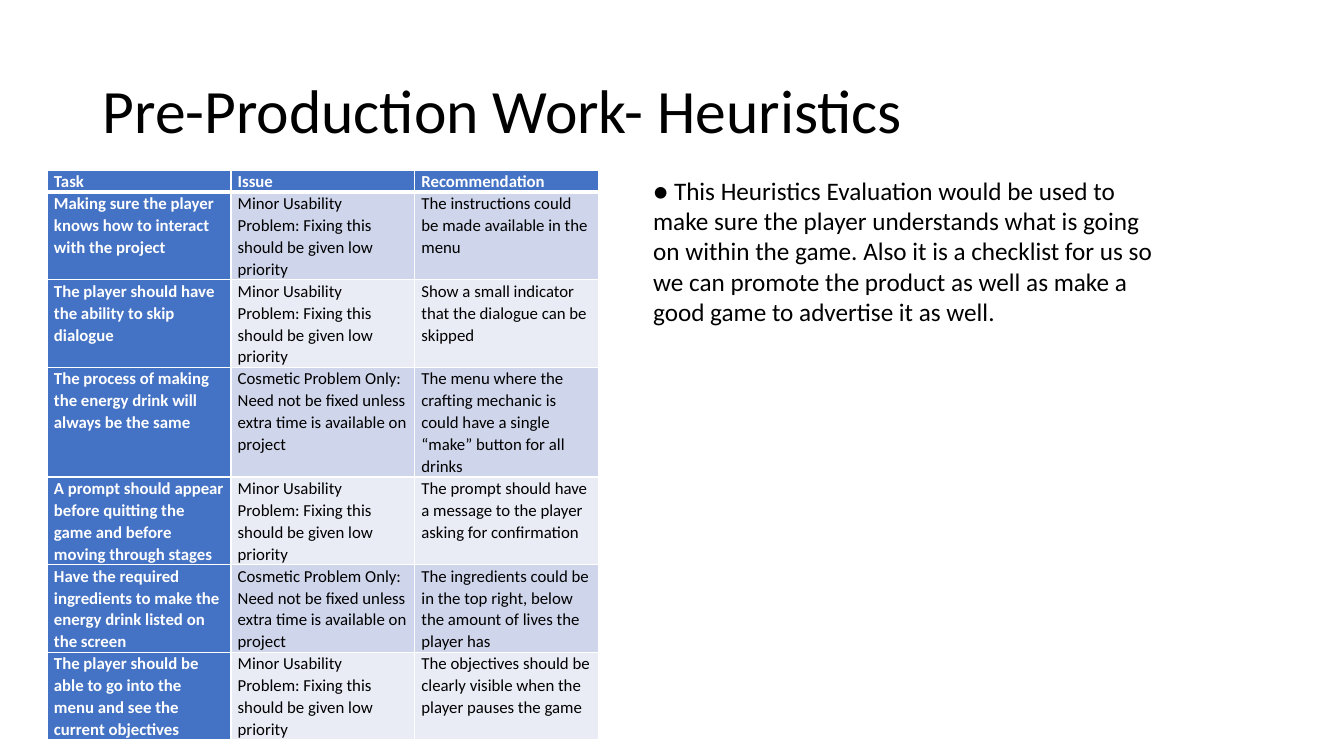
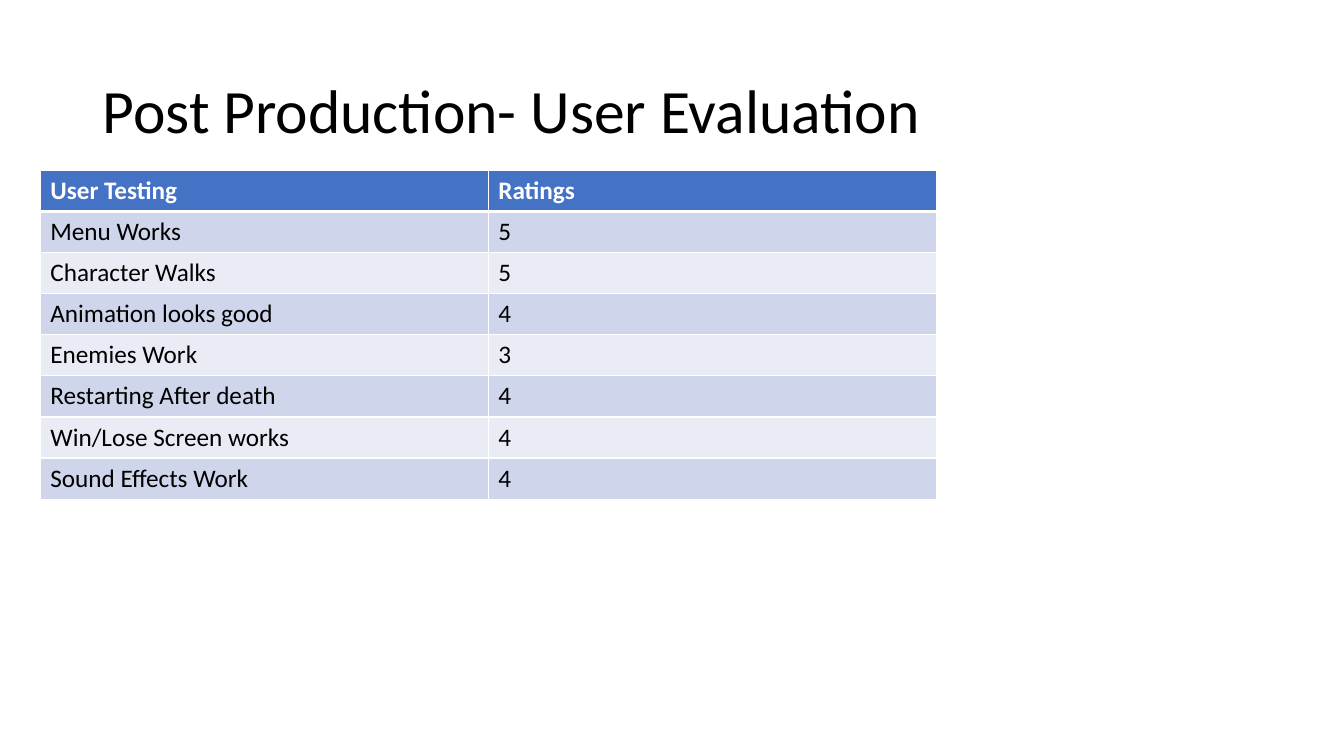
from dataclasses import dataclass

from lxml.etree import SubElement
from pptx import Presentation
from pptx.dml.color import RGBColor
from pptx.enum.text import MSO_ANCHOR, MSO_AUTO_SIZE, PP_ALIGN
from pptx.oxml.ns import qn
from pptx.presentation import Presentation as Deck
from pptx.slide import Slide
from pptx.table import _Cell as Cell
from pptx.text.text import _Paragraph as Para
from pptx.util import Cm, Pt

FONT = "Calibri"
BLACK, WHITE, BLUE = "000000", "FFFFFF", "4472C4"
BANDS = ("CFD5EA", "E9EBF5")
TOP = 4.29
THIN, THICK = 1, 3

MINOR = "Minor Usability Problem: Fixing this should be given low priority"
COSMETIC = ("Cosmetic Problem Only: Need not be fixed unless extra time "
            "is available on project")


@dataclass
class Grid:
    """A banded table; lengths are in centimetres."""
    left: float
    width: float
    heights: list[float]
    rows: list[tuple[str, ...]]
    size: int
    pad_x: float = 0.25
    pad_y: float = 0.13
    spacing: float = 1.0
    side_head: bool = False


ISSUES = Grid(
    left=1.19, width=13.89,
    heights=[0.44, 1.3, 1.3, 1.75, 1.75, 1.75, 1.3],
    size=12, pad_x=0.17, pad_y=0, spacing=1.07, side_head=True,
    rows=[
        ("Task", "Issue", "Recommendation"),
        ("Making sure the player knows how to interact with the project",
         MINOR,
         "The instructions could be made available in the menu"),
        ("The player should have the ability to skip dialogue",
         MINOR,
         "Show a small indicator that the dialogue can be skipped"),
        ("The process of making the energy drink will always be the same",
         COSMETIC,
         "The menu where the crafting mechanic is could have a single "
         "“make” button for all drinks"),
        ("A prompt should appear before quitting the game and before "
         "moving through stages",
         MINOR,
         "The prompt should have a message to the player asking for "
         "confirmation"),
        ("Have the required ingredients to make the energy drink listed "
         "on the screen",
         COSMETIC,
         "The ingredients could be in the top right, below the amount of "
         "lives the player has"),
        ("The player should be able to go into the menu and see the "
         "current objectives",
         MINOR,
         "The objectives should be clearly visible when the player pauses "
         "the game"),
    ],
)

SCORES = [
    ("User Testing", "Ratings"),
    ("Menu Works", "5"),
    ("Character Walks", "5"),
    ("Animation looks good", "4"),
    ("Enemies Work", "3"),
    ("Restarting After death", "4"),
    ("Win/Lose Screen works", "4"),
    ("Sound Effects Work", "4"),
]
RATINGS = Grid(left=1.02, width=22.58, heights=[1.03] * len(SCORES),
               size=18, rows=SCORES)

REMARK = ("● This Heuristics Evaluation would be used to make sure the player "
          "understands what is going on within the game. Also it is a "
          "checklist for us so we can promote the product as well as make a "
          "good game to advertise it as well.")


def color(code: str) -> RGBColor:
    """Turn a hex string into a colour."""
    return RGBColor.from_string(code)


def style(para: Para, size: int, code: str = BLACK, bold: bool = False,
          spacing: float = 1.0) -> None:
    """Format a whole paragraph."""
    font = para.font
    font.name, font.size, font.bold = FONT, Pt(size), bold
    font.color.rgb = color(code)
    para.alignment = PP_ALIGN.LEFT
    para.line_spacing = spacing


def add_slide(deck: Deck, title: str) -> Slide:
    """Add a title-only slide with the shared title style."""
    slide = deck.slides.add_slide(deck.slide_layouts[5])
    head = slide.shapes.title
    head.left, head.top = Cm(2.33), Cm(1.01)
    head.width, head.height = Cm(29.21), Cm(3.68)
    frame = head.text_frame
    frame.text = title
    frame.word_wrap = True
    frame.auto_size = MSO_AUTO_SIZE.NONE
    frame.vertical_anchor = MSO_ANCHOR.MIDDLE
    style(frame.paragraphs[0], 44, spacing=0.9)
    return slide


def add_edges(cell: Cell, top: int, bottom: int) -> None:
    """Give a cell white borders; widths are in points."""
    props = cell._tc.get_or_add_tcPr()
    edges = {"a:lnL": THIN, "a:lnR": THIN, "a:lnT": top, "a:lnB": bottom}
    for tag, width in edges.items():
        line = SubElement(props, qn(tag), w=str(Pt(width)))
        fill = SubElement(line, qn("a:solidFill"))
        SubElement(fill, qn("a:srgbClr"), val=WHITE)


def fill_cell(cell: Cell, text: str, grid: Grid, row: int, col: int) -> None:
    """Write one cell and format it by its place in the grid."""
    head = row == 0 or (grid.side_head and col == 0)
    add_edges(cell, THICK if row == 1 else THIN, THICK if row == 0 else THIN)
    cell.fill.solid()
    cell.fill.fore_color.rgb = color(BLUE if head else BANDS[(row - 1) % 2])
    cell.margin_left = cell.margin_right = Cm(grid.pad_x)
    cell.margin_top = cell.margin_bottom = Cm(grid.pad_y)
    cell.text = text
    style(cell.text_frame.paragraphs[0], grid.size,
          WHITE if head else BLACK, head, grid.spacing)


def add_grid(slide: Slide, grid: Grid) -> None:
    """Draw a table with equal columns."""
    count = len(grid.rows[0])
    table = slide.shapes.add_table(
        len(grid.rows), count, Cm(grid.left), Cm(TOP),
        Cm(grid.width), Cm(sum(grid.heights))).table
    table.first_col = grid.side_head
    for column in table.columns:
        column.width = Cm(grid.width / count)
    for row, texts in enumerate(grid.rows):
        table.rows[row].height = Cm(grid.heights[row])
        for col, text in enumerate(texts):
            fill_cell(table.cell(row, col), text, grid, row, col)


def add_remark(slide: Slide, text: str) -> None:
    """Place the remark to the right of the table."""
    box = slide.shapes.add_textbox(Cm(16.21), Cm(TOP), Cm(13.23), Cm(4.11))
    frame = box.text_frame
    frame.word_wrap = True
    frame.auto_size = MSO_AUTO_SIZE.SHAPE_TO_FIT_TEXT
    frame.text = text
    style(frame.paragraphs[0], 18)


def main() -> None:
    """Build and save the deck."""
    deck = Presentation()
    deck.slide_width, deck.slide_height = Cm(33.87), Cm(19.05)

    slide = add_slide(deck, "Pre-Production Work- Heuristics")
    add_grid(slide, ISSUES)
    add_remark(slide, REMARK)

    slide = add_slide(deck, "Post Production- User Evaluation")
    add_grid(slide, RATINGS)

    deck.save("out.pptx")


main()
